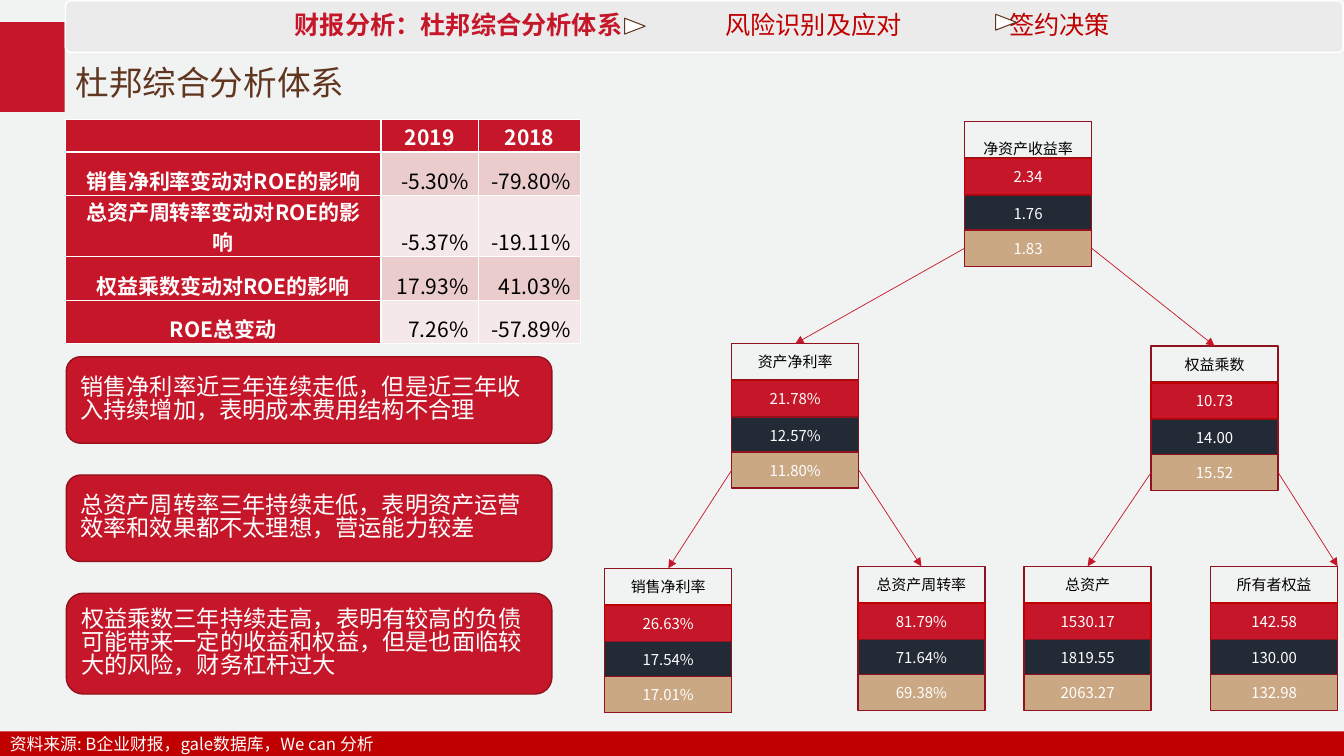
from dataclasses import dataclass

from lxml.etree import SubElement
from pptx import Presentation
from pptx.dml.color import RGBColor
from pptx.enum.shapes import MSO_CONNECTOR as Connector, MSO_SHAPE as Preset
from pptx.enum.text import MSO_ANCHOR as Anchor, MSO_AUTO_SIZE as AutoSize, PP_ALIGN as Align
from pptx.oxml.ns import qn
from pptx.util import Cm, Pt


@dataclass(frozen=True)
class Theme:
    red: str = "C51729"
    dark_red: str = "92111E"
    deep_red: str = "C00000"
    navy: str = "222A35"
    tan: str = "CAA884"
    brown: str = "613620"
    paper: str = "F1F3F2"
    bar: str = "EBEBEB"
    white: str = "FFFFFF"
    black: str = "000000"
    bands: tuple = ("EACCCD", "F5E8E8")
    font: str = "Noto Sans CJK SC"
    title_font: str = "Calibri"
    title: float = 24
    nav: float = 18
    note: float = 16.6
    table: float = 15
    footer: float = 12
    node: float = 10.7


def set_formats(target, formats):
    for name, value in formats.items():
        setattr(target, name, value)


class Board:
    def __init__(self, slide, theme):
        self.slide, self.theme = slide, theme
        slide.background.fill.solid()
        slide.background.fill.fore_color.rgb = RGBColor.from_string(theme.paper)

    def add_run(self, paragraph, text, size, color, bold=False, font=None):
        run = paragraph.add_run()
        run.text = text
        set_formats(run.font, {"size": Pt(size), "bold": bold, "name": font or self.theme.font})
        run.font.color.rgb = RGBColor.from_string(color)
        SubElement(run.font._element, qn("a:ea"), typeface=self.theme.font)

    def add_text(self, frame, text, size, color, align=Align.LEFT, spacing=None, **font):
        paragraph = frame.paragraphs[0]
        set_formats(paragraph, {"alignment": align, "line_spacing": spacing})
        self.add_run(paragraph, text, size, color, **font)

    def title(self, text, box):
        heading = self.slide.shapes.title
        set_formats(heading, dict(zip(("left", "top", "width", "height"), map(Cm, box))))
        set_formats(heading.text_frame,
                    {"auto_size": AutoSize.NONE, "vertical_anchor": Anchor.MIDDLE})
        self.add_text(heading.text_frame, text, self.theme.title, self.theme.brown,
                      spacing=0.9, font=self.theme.title_font)

    def block(self, box, fill=None, line=None, width=1, preset=Preset.RECTANGLE):
        shape = self.slide.shapes.add_shape(preset, *map(Cm, box))
        shape.shadow.inherit = False
        for paint, color in ((shape.fill, fill), (shape.line.fill, line)):
            if color:
                paint.solid()
                paint.fore_color.rgb = RGBColor.from_string(color)
            else:
                paint.background()
        if line:
            shape.line.width = Pt(width)
        set_formats(shape.text_frame, {"word_wrap": True, "vertical_anchor": Anchor.MIDDLE})
        return shape

    def navigation(self, box, steps, tabs):
        """Put the steps on one line at tab stops, the first one being current."""
        frame = self.slide.shapes.add_textbox(*map(Cm, box)).text_frame
        inset = Cm(0.18)
        set_formats(frame, {"word_wrap": True, "vertical_anchor": Anchor.MIDDLE,
                            "margin_left": inset, "margin_right": inset,
                            "margin_top": inset, "margin_bottom": inset})
        line = frame.paragraphs[0]
        line.line_spacing = 0.9
        stops = SubElement(line._p.get_or_add_pPr(), qn("a:tabLst"))
        for index, (step, tab) in enumerate(zip(steps, tabs)):
            SubElement(stops, qn("a:tab"), pos=str(Cm(tab)), algn="l")
            current = index == 0
            self.add_run(line, "\t" + step, self.theme.nav,
                         self.theme.red if current else self.theme.deep_red, bold=current)

    def table(self, box, widths, heights, rows):
        theme = self.theme
        grid = self.slide.shapes.add_table(len(rows), len(widths), *map(Cm, box)).table
        for column, width in zip(grid.columns, widths):
            column.width = Cm(width)
        for r, (row, height, values) in enumerate(zip(grid.rows, heights, rows)):
            row.height = Cm(height)
            for c, (cell, text) in enumerate(zip(row.cells, values)):
                label = r == 0 or c == 0
                set_formats(cell, {"vertical_anchor": Anchor.BOTTOM,
                                   "margin_top": 0, "margin_bottom": 0})
                cell.fill.solid()
                fill = theme.red if label else theme.bands[(r - 1) % 2]
                cell.fill.fore_color.rgb = RGBColor.from_string(fill)
                self.add_text(cell.text_frame, text, theme.table,
                              theme.white if label else theme.black,
                              Align.CENTER if label else Align.RIGHT, bold=label)

    def node(self, left, top, name, values):
        """Stack a name over its yearly values; return the first and last block."""
        theme = self.theme
        styles = ((None, theme.dark_red, theme.black), (theme.red, theme.deep_red, theme.white),
                  (theme.navy, theme.dark_red, theme.white), (theme.tan, theme.dark_red, theme.white))
        stack = []
        for text, offset, (fill, line, color) in zip((name, *values), NODE_OFFSETS, styles):
            part = self.block((left, top + offset, NODE_WIDTH, NODE_HEIGHT), fill, line)
            self.add_text(part.text_frame, text, theme.node, color, Align.CENTER)
            stack.append(part)
        return stack[0], stack[-1]

    def arrow(self, parent, side, child, to_corner):
        link = self.slide.shapes.add_connector(
            Connector.STRAIGHT, 0, 0, child.left + child.width, child.top)
        link.begin_connect(parent, side)
        if not to_corner:
            link.end_connect(child, TOP)
        link.line.width = Pt(0.5)
        link.line.color.rgb = RGBColor.from_string(self.theme.red)
        SubElement(link.line._get_or_add_ln(), qn("a:tailEnd"), type="triangle")
        SubElement(link._element.spPr, qn("a:effectLst"))


TOP, LEFT, RIGHT = 0, 1, 3
NODE_WIDTH, NODE_HEIGHT = 3.2, 0.91
NODE_OFFSETS = (0, 0.93, 1.85, 2.73)

NODES = (
    (24.31, 3.07, "净资产收益率", ("2.34", "1.76", "1.83")),
    (18.44, 8.66, "资产净利率", ("21.78%", "12.57%", "11.80%")),
    (29.01, 8.72, "权益乘数", ("10.73", "14.00", "15.52")),
    (15.24, 14.32, "销售净利率", ("26.63%", "17.54%", "17.01%")),
    (21.62, 14.27, "总资产周转率", ("81.79%", "71.64%", "69.38%")),
    (25.81, 14.27, "总资产", ("1530.17", "1819.55", "2063.27")),
    (30.51, 14.27, "所有者权益", ("142.58", "130.00", "132.98")),
)

EFFECTS = (
    ("", "2019", "2018"),
    ("销售净利率变动对ROE的影响", "-5.30%", "-79.80%"),
    ("总资产周转率变动对ROE的影响", "-5.37%", "-19.11%"),
    ("权益乘数变动对ROE的影响", "17.93%", "41.03%"),
    ("ROE总变动", "7.26%", "-57.89%"),
)

FINDINGS = (
    (2.18, "销售净利率近三年连续走低，但是近三年收入持续增加，表明成本费用结构不合理"),
    (2.18, "总资产周转率三年持续走低，表明资产运营效率和效果都不太理想，营运能力较差"),
    (2.54, "权益乘数三年持续走高，表明有较高的负债可能带来一定的收益和权益，但是也面临较大的风险，财务杠杆过大"),
)


def main():
    deck = Presentation()
    deck.slide_width, deck.slide_height = Cm(33.87), Cm(19.05)
    theme = Theme()
    board = Board(deck.slides.add_slide(deck.slide_layouts[5]), theme)

    board.block((0, 0.56, 1.63, 2.26), theme.red)
    board.title("杜邦综合分析体系", (1.65, 1.47, 11.48, 1.32))
    board.table((1.65, 3.02, 12.98, 5.26), (7.95, 2.46, 2.57), (0.81, 1.1, 1.17, 1.1, 1.1), EFFECTS)

    stacks = [board.node(*node) for node in NODES]
    root_name = stacks[0][0].text_frame
    set_formats(root_name, {"vertical_anchor": Anchor.BOTTOM, "margin_top": 0, "margin_bottom": 0})
    for child in range(1, len(stacks)):
        parent = (child - 1) // 2
        board.arrow(stacks[parent][1], LEFT if child % 2 else RIGHT, stacks[child][0],
                    to_corner=child == len(stacks) - 1)

    for index, (height, finding) in enumerate(FINDINGS):
        note = board.block((1.67, 8.99 + 2.98 * index, 12.24, height), theme.red, theme.dark_red,
                           preset=Preset.ROUNDED_RECTANGLE)
        board.add_text(note.text_frame, finding, theme.note, theme.white, spacing=0.82)

    footer = board.block((0, 18.43, 33.87, 0.62), theme.deep_red)
    board.add_text(footer.text_frame, "资料来源: B企业财报，gale数据库，We can 分析",
                   theme.footer, theme.white)

    bar = board.block((1.65, 0.02, 32.2, 1.3), theme.bar, theme.white,
                      preset=Preset.ROUNDED_RECTANGLE)
    bar.adjustments[0] = 0.1
    board.navigation((1.6, 0.05, 32.23, 1.22),
                     ("财报分析：杜邦综合分析体系", "风险识别及应对", "签约决策"), (5.65, 16.5, 23.65))
    for left, top in ((15.8, 0.4), (25.15, 0.3)):
        pointer = board.block((left, top, 0.4, 0.52), theme.white, theme.brown, 0.75,
                              Preset.ISOSCELES_TRIANGLE)
        pointer.rotation = 90

    deck.save("out.pptx")


if __name__ == "__main__":
    main()
